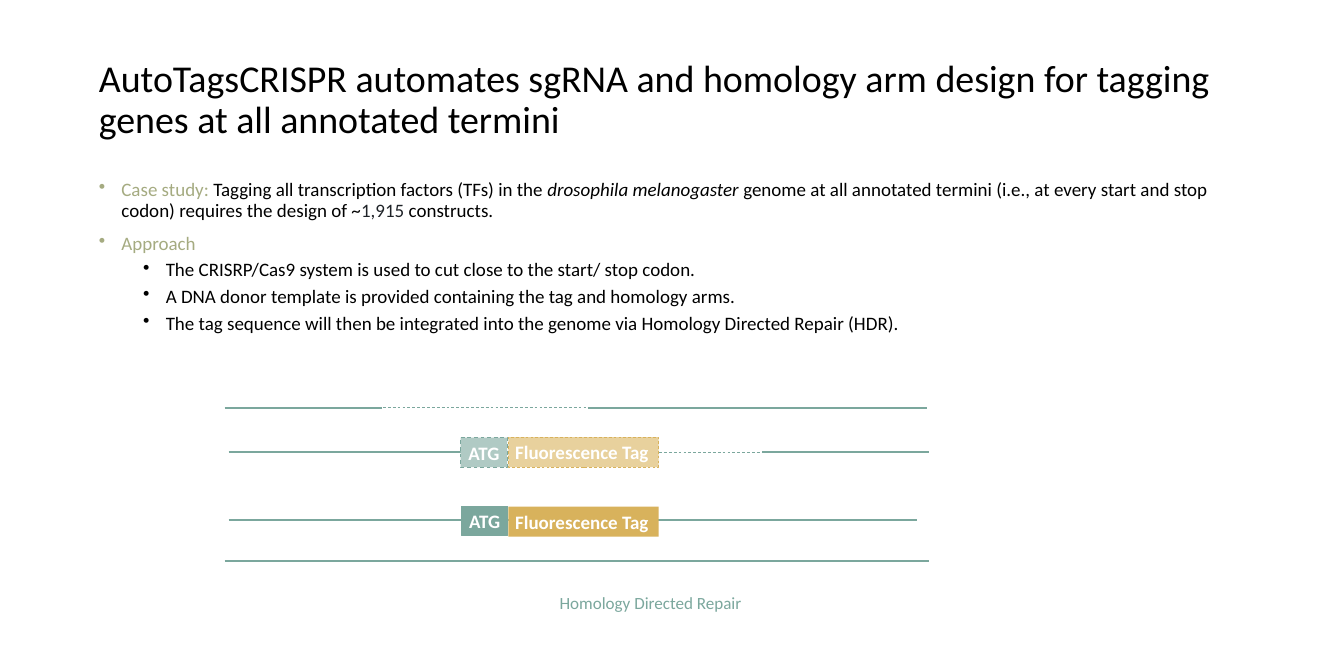
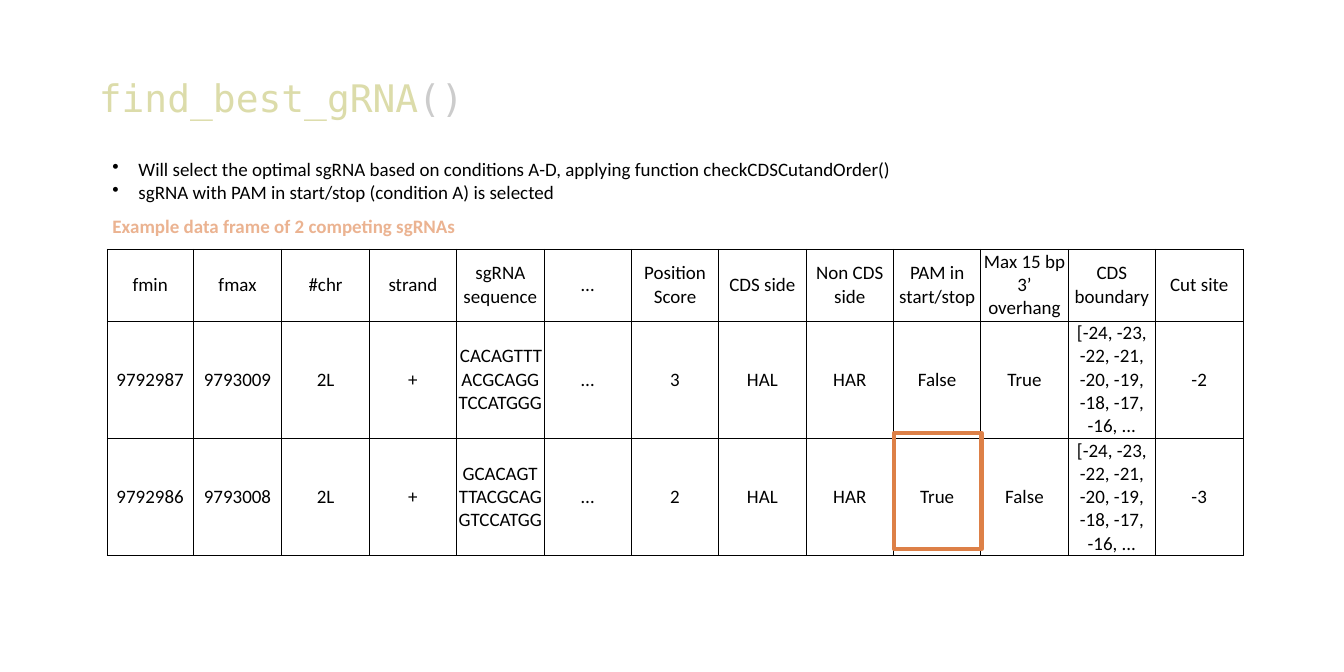
import pptx
import pptx.dml.color
import pptx.enum.dml
import pptx.enum.shapes
import pptx.enum.text
import pptx.oxml.ns
import pptx.util
from lxml import etree

Inches = pptx.util.Inches
Pt = pptx.util.Pt
RGBColor = pptx.dml.color.RGBColor
PP_ALIGN = pptx.enum.text.PP_ALIGN
MSO_ANCHOR = pptx.enum.text.MSO_ANCHOR
DASH = pptx.enum.dml.MSO_LINE.DASH
qn = pptx.oxml.ns.qn

BLACK = RGBColor(0x00, 0x00, 0x00)
WHITE = RGBColor(0xFF, 0xFF, 0xFF)
INK = RGBColor(0x1F, 0x23, 0x28)
OLIVE = RGBColor(0xA5, 0xAB, 0x81)
GREEN = RGBColor(0x7B, 0xA7, 0x9D)
PALE_GREEN = RGBColor(0xB0, 0xCA, 0xC4)
GOLD = RGBColor(0xD8, 0xB2, 0x5C)
PALE_GOLD = RGBColor(0xE8, 0xD1, 0x9D)
ORANGE = RGBColor(0xDD, 0x80, 0x47)
PALE_ORANGE = RGBColor(0xEB, 0xB3, 0x91)
CODE_YELLOW = RGBColor(0xDC, 0xDC, 0xAA)
CODE_GREY = RGBColor(0xCC, 0xCC, 0xCC)

SANS = "Calibri"
MONO = "DejaVu Sans Mono"
BODY_SIZE = 20

SOLID_LINES = [  # start x, end x, y, width
    (3.29, 5.59, 5.97, 2),
    (8.61, 13.58, 5.97, 2),
    (3.35, 6.75, 6.62, 2),
    (11.17, 13.61, 6.62, 2),
    (3.35, 13.44, 7.61, 2.25),
    (3.29, 13.61, 8.21, 2),
]
DASHED_LINES = [(5.54, 8.61, 5.97, 0.75), (6.79, 11.17, 6.62, 0.75)]

CDS_BOUNDARY = "[-24, -23, -22, -21, -20, -19, -18, -17, -16, ..."
GUIDE_ROWS = [
    ["fmin", "fmax", "#chr", "strand", "sgRNA sequence", "…", "Position Score",
     "CDS side", "Non CDS side", "PAM in start/stop", "Max 15 bp 3’ overhang",
     "CDS boundary", "Cut site"],
    ["9792987", "9793009", "2L", "+", "CACAGTTTACGCAGGTCCATGGG", "…", "3",
     "HAL", "HAR", "False", "True", CDS_BOUNDARY, "-2"],
    ["9792986", "9793008", "2L", "+", "GCACAGTTTACGCAGGTCCATGG", "…", "2",
     "HAL", "HAR", "True", "False", CDS_BOUNDARY, "-3"],
]
COLUMN_WIDTHS = [1.26, 1.3] + [1.28] * 11
ROW_HEIGHTS = [1.05, 1.72, 1.72]


def format_run(run, colour, size=BODY_SIZE, font=SANS, bold=False, italic=False):
    run.font.name = font
    run.font.size = Pt(size)
    run.font.bold = bold
    run.font.italic = italic
    run.font.color.rgb = colour


def add_runs(paragraph, pieces, **style):
    """Append (text, colour[, italic]) pieces to the paragraph."""
    for text, colour, *italic in pieces:
        run = paragraph.add_run()
        run.text = text
        format_run(run, colour, italic=bool(italic and italic[0]), **style)


def set_bullet(paragraph, margin, hanging):
    properties = paragraph._p.get_or_add_pPr()
    properties.set("marL", str(Inches(margin)))
    properties.set("indent", str(-Inches(hanging)))
    etree.SubElement(properties, qn("a:buChar")).set("char", "•")


def add_text_box(slide, left, top, width, height, paragraphs, **style):
    """Add a wrapping text box with one paragraph per list of pieces."""
    box = slide.shapes.add_textbox(Inches(left), Inches(top), Inches(width), Inches(height))
    text_frame = box.text_frame
    text_frame.word_wrap = True
    for index, pieces in enumerate(paragraphs):
        paragraph = text_frame.add_paragraph() if index else text_frame.paragraphs[0]
        add_runs(paragraph, pieces, **style)
    return text_frame


def add_title(slide, pieces, font=SANS):
    text_frame = add_text_box(slide, 1.35, 0.52, 16.98, 1.9, [pieces], size=40, font=font)
    text_frame.vertical_anchor = MSO_ANCHOR.MIDDLE
    text_frame.paragraphs[0].line_spacing = 0.9


def add_strand(slide, start, end, y, width, dashed=False):
    strand = slide.shapes.add_connector(
        pptx.enum.shapes.MSO_CONNECTOR.STRAIGHT,
        Inches(start), Inches(y), Inches(end), Inches(y))
    strand.line.color.rgb = GREEN
    strand.line.width = Pt(width)
    if dashed:
        strand.line.dash_style = DASH
    etree.SubElement(strand._element.spPr, qn("a:effectLst"))


def add_rectangle(slide, left, top, width, height, fill=None, line=None, line_width=1, dashed=False):
    shape = slide.shapes.add_shape(
        pptx.enum.shapes.MSO_SHAPE.RECTANGLE,
        Inches(left), Inches(top), Inches(width), Inches(height))
    shape.shadow.inherit = False
    if fill is None:
        shape.fill.background()
    else:
        shape.fill.solid()
        shape.fill.fore_color.rgb = fill
    if line is None:
        shape.line.fill.background()
    else:
        shape.line.color.rgb = line
        shape.line.width = Pt(line_width)
        if dashed:
            shape.line.dash_style = DASH
    return shape


def label_rectangle(shape, text, alignment, anchor):
    text_frame = shape.text_frame
    text_frame.text = text
    text_frame.vertical_anchor = anchor
    paragraph = text_frame.paragraphs[0]
    paragraph.alignment = alignment
    format_run(paragraph.runs[0], WHITE, bold=True)


def add_tagged_gene(slide, codon_left, codon_top, tag_top, codon_fill, tag_fill, tag_line, dashed):
    """Add a start codon with the fluorescence tag to its right."""
    codon = add_rectangle(slide, codon_left, codon_top, 0.68, 0.43, codon_fill, GREEN, 1, dashed)
    label_rectangle(codon, "ATG", PP_ALIGN.CENTER, MSO_ANCHOR.MIDDLE)
    tag = add_rectangle(slide, 7.45, tag_top, 2.2, 0.44, tag_fill, tag_line, 0.75, dashed)
    label_rectangle(tag, "Fluorescence Tag", PP_ALIGN.LEFT, MSO_ANCHOR.TOP)


def set_cell_borders(cell):
    properties = cell._tc.get_or_add_tcPr()
    for side in ("lnL", "lnR", "lnT", "lnB"):
        border = etree.SubElement(properties, qn(f"a:{side}"), w=str(Pt(1)))
        fill = etree.SubElement(border, qn("a:solidFill"))
        etree.SubElement(fill, qn("a:srgbClr"), val=str(BLACK))


def fill_cell(cell, text):
    cell.text = text
    cell.vertical_anchor = MSO_ANCHOR.MIDDLE
    cell.margin_left = cell.margin_right = Inches(0.02)
    cell.margin_top = cell.margin_bottom = Inches(0.01)
    paragraph = cell.text_frame.paragraphs[0]
    paragraph.alignment = PP_ALIGN.CENTER
    format_run(paragraph.runs[0], BLACK)
    set_cell_borders(cell)
    cell.fill.background()


def add_guide_table(slide):
    frame = slide.shapes.add_table(
        len(GUIDE_ROWS), len(COLUMN_WIDTHS), Inches(1.57), Inches(3.65),
        Inches(sum(COLUMN_WIDTHS)), Inches(sum(ROW_HEIGHTS)))
    table = frame.table
    table.first_row = False
    table.horz_banding = False
    for column, width in zip(table.columns, COLUMN_WIDTHS):
        column.width = Inches(width)
    for row, height, texts in zip(table.rows, ROW_HEIGHTS, GUIDE_ROWS):
        row.height = Inches(height)
        for cell, text in zip(row.cells, texts):
            fill_cell(cell, text)


def add_approach_text(slide):
    steps = [
        "The CRISRP/Cas9 system is used to cut close to the start/ stop codon.",
        "A DNA donor template is provided containing the tag and homology arms.",
        "The tag sequence will then be integrated into the genome via Homology Directed Repair (HDR).",
    ]
    case_study = [
        ("Case study:", OLIVE),
        (" Tagging all transcription factors (TFs) in the ", BLACK),
        ("drosophila melanogaster ", BLACK, True),
        ("genome at all annotated termini (i.e., at every start and stop codon) "
         "requires the design of ~", BLACK),
        ("1,915", INK),
        (" constructs.", BLACK),
    ]
    paragraphs = [case_study, [("Approach", OLIVE)]] + [[(step, BLACK)] for step in steps]
    text_frame = add_text_box(slide, 1.35, 2.59, 16.98, 6.24, paragraphs)
    for index, paragraph in enumerate(text_frame.paragraphs):
        is_step = index >= 2
        paragraph.level = 1 if is_step else 0
        paragraph.line_spacing = 0.9
        paragraph.space_before = Pt(6.6 if is_step else 13.1)
        set_bullet(paragraph, 0.98 if is_step else 0.33, 0.33)


def build_approach_slide(slide):
    add_title(slide, [("AutoTagsCRISPR automates sgRNA and homology arm design for tagging "
                       "genes at all annotated termini", BLACK)])
    add_approach_text(slide)
    for strand in SOLID_LINES:
        add_strand(slide, *strand)
    for strand in DASHED_LINES:
        add_strand(slide, *strand, dashed=True)
    add_tagged_gene(slide, 6.75, 6.41, 6.4, PALE_GREEN, PALE_GOLD, GOLD, True)
    add_tagged_gene(slide, 6.76, 7.41, 7.42, GREEN, GOLD, None, False)
    add_text_box(slide, 8.1, 8.63, 3.48, 0.4, [[("Homology Directed Repair", GREEN)]], size=18)


def build_selection_slide(slide):
    add_title(slide, [("find_best_gRNA", CODE_YELLOW), ("()", CODE_GREY)], MONO)
    add_guide_table(slide)
    add_rectangle(slide, 13.1, 6.34, 1.28, 1.7, line=ORANGE, line_width=4.5)
    text_frame = add_text_box(slide, 1.55, 2.26, 15.1, 0.77, [
        [("Will select the optimal sgRNA based on conditions A-D, "
          "applying function checkCDSCutandOrder()", BLACK)],
        [("sgRNA with PAM in start/stop (condition A) is selected", BLACK)],
    ])
    for paragraph in text_frame.paragraphs:
        set_bullet(paragraph, 0.38, 0.38)
    add_text_box(slide, 1.55, 3.09, 5.6, 0.44,
                 [[("Example data frame of 2 competing sgRNAs", PALE_ORANGE)]], bold=True)


def main():
    presentation = pptx.Presentation()
    presentation.slide_width = Inches(19.69)
    presentation.slide_height = Inches(9.84)
    blank = presentation.slide_layouts[6]
    for build in (build_approach_slide, build_selection_slide):
        build(presentation.slides.add_slide(blank))
    presentation.save("out.pptx")


if __name__ == "__main__":
    main()
